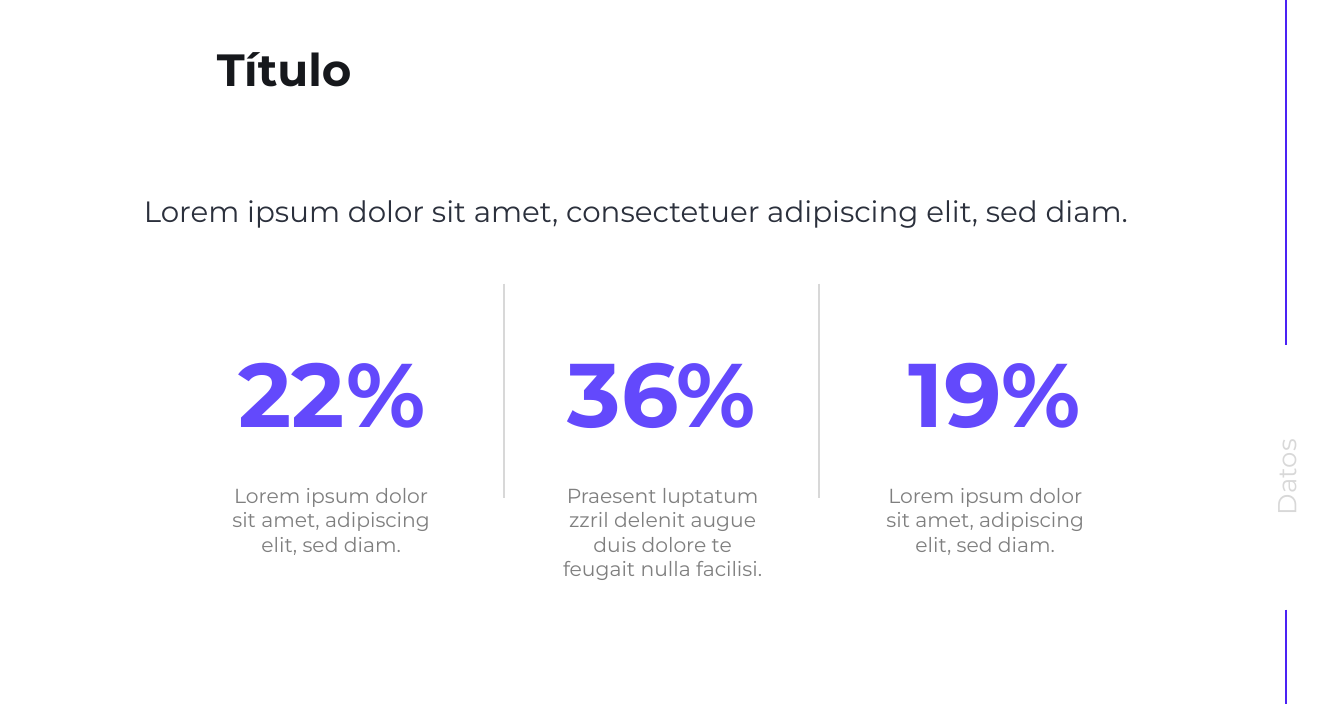
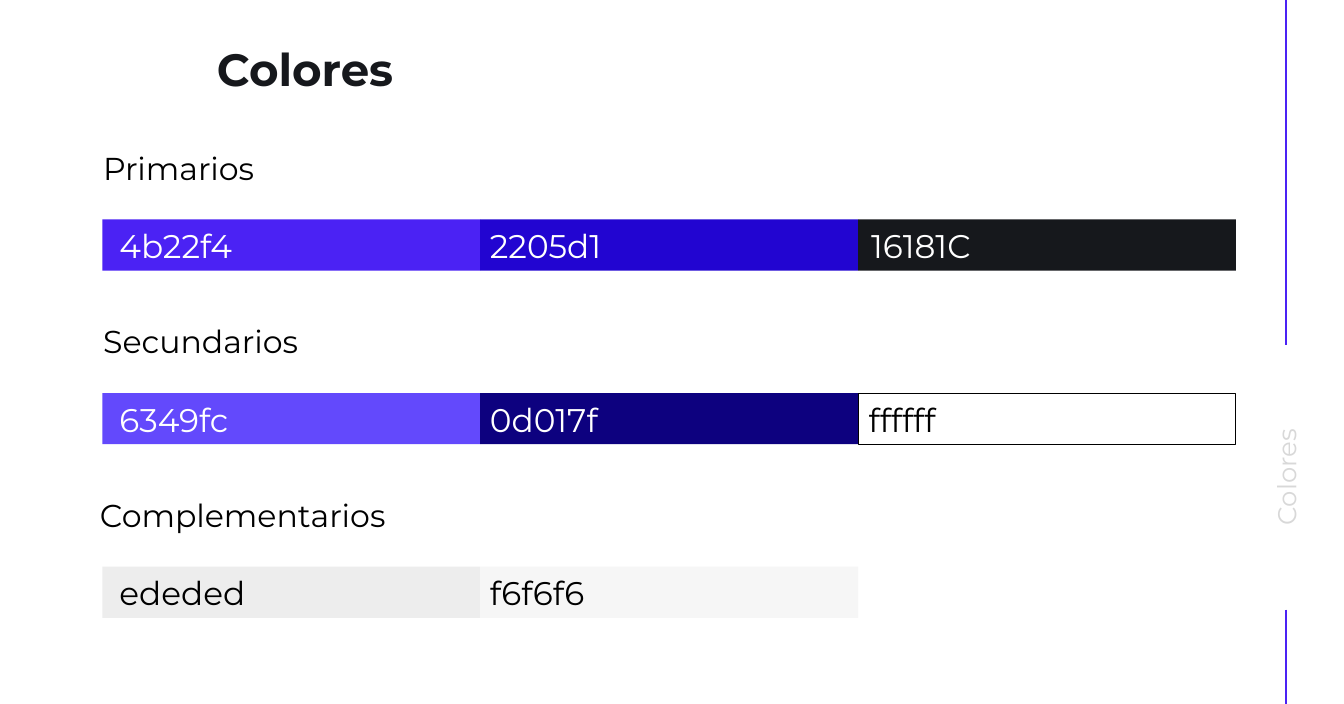
from lxml.etree import SubElement as Sub
from pptx import Presentation as Deck
from pptx.dml.color import RGBColor as Rgb
from pptx.enum.shapes import MSO_CONNECTOR as Wire, MSO_SHAPE as Form
from pptx.enum.text import MSO_ANCHOR as Anchor, PP_ALIGN as Align
from pptx.oxml.ns import qn
from pptx.util import Pt

WIDE, HIGH = 1190.9, 623.5
HUES = {
    "violet": "4b22f4",
    "blue": "2205d1",
    "ink": "16181C",
    "iris": "6349fc",
    "navy": "0d017f",
    "white": "ffffff",
    "mist": "ededed",
    "snow": "f6f6f6",
    "black": "000000",
    "rule": "D8D8D8",
    "gray": "7F7F7F",
    "slate": "2B303C",
}
PALE = ("white", "mist", "snow")


def tint(name):
    return Rgb.from_string(HUES[name].upper())


class Page:
    face = "Montserrat"
    inset = Pt(11.5)

    def __init__(self, deck):
        self.deck = deck
        self.slide = None

    def start(self, title, tag):
        self.slide = self.deck.slides.add_slide(self.deck.slide_layouts[6])
        self.text(title, 180.7, 32.4, 725.8, 56.2, 40, "ink", bold=True, mid=True)
        for top, end in ((0, 305.3), (540, HIGH)):
            self.line(1139.8, top, end, "violet", 1.5)
        side = self.text(tag, 1021.7, 396.7, 236.9, 51.8, 23, "rule", center=True)
        side.rotation = 270

    def text(self, words, x, y, w, h, size, hue, bold=False, center=False, mid=False):
        box = self.slide.shapes.add_textbox(Pt(x), Pt(y), Pt(w), Pt(h))
        frame = box.text_frame
        frame.word_wrap = True
        frame.margin_left = frame.margin_right = self.inset
        frame.margin_top = frame.margin_bottom = self.inset
        frame.vertical_anchor = Anchor.MIDDLE if mid else Anchor.TOP
        para = frame.paragraphs[0]
        para.text = words
        para.alignment = Align.CENTER if center else Align.LEFT
        font = para.font
        font.name, font.size, font.bold = self.face, Pt(size), bold
        font.color.rgb = tint(hue)
        return box

    def line(self, x, top, end, hue, width):
        wire = self.slide.shapes.add_connector(
            Wire.STRAIGHT, Pt(x), Pt(top), Pt(x), Pt(end))
        wire.line.color.rgb = tint(hue)
        wire.line.width = Pt(width)
        Sub(wire._element.spPr, qn("a:effectLst"))

    def block(self, x, y, w, h, hue, edge=None):
        rect = self.slide.shapes.add_shape(
            Form.RECTANGLE, Pt(x), Pt(y), Pt(w), Pt(h))
        rect.shadow.inherit = False
        rect.fill.solid()
        rect.fill.fore_color.rgb = tint(hue)
        if edge:
            rect.line.color.rgb = tint(edge)
            rect.line.width = Pt(0.75)
        else:
            rect.line.fill.background()


def data(page):
    page.start("Título", "Datos")
    page.text("Lorem ipsum dolor sit amet, consectetuer adipiscing elit, sed diam.",
              115.9, 159.8, 942.5, 136.8, 26, "slate")
    for x in (446.4, 725.8):
        page.line(x, 251.3, 441.4, "rule", 2.25)
    short = "Lorem ipsum dolor sit amet, adipiscing elit, sed diam."
    long = ("Praesent luptatum zzril delenit augue "
            "duis dolore te feugait nulla facilisi.")
    stats = (("22%", 167.8, short, 193),
             ("36%", 460.1, long, 486.7),
             ("19%", 755.3, short, 772.6))
    for value, x, note, left in stats:
        page.text(value, x, 239.8, 252.7, 213.1, 80, "iris",
                  bold=True, center=True, mid=True)
        page.text(note, left, 416.2, 200.9, 150.5, 18, "gray", center=True)


def colors(page):
    page.start("Colores", "Colores")
    left, top, wide, high, step = 90.7, 194.4, 334.8, 45.4, 153.7
    groups = (("Primarios", 79.9, ("violet", "blue", "ink")),
              ("Secundarios", 79.9, ("iris", "navy", "white")),
              ("Complementarios", 77, ("mist", "snow")))
    shifts = (3.6, -2.9, 0)
    for row, (head, start, names) in enumerate(groups):
        y = top + row * step
        page.text(head, start, y - 74.2, 573, 56.2, 28, "black")
        for col, name in enumerate(names):
            x = left + col * wide
            page.block(x, y, wide, high, name, "black" if name == "white" else None)
            shift = -2.1 if name == "white" else shifts[col]
            page.text(HUES[name], x + shift, y - 6, 192, 51.1, 29,
                      "black" if name in PALE else "white")


def main():
    deck = Deck()
    deck.slide_width, deck.slide_height = Pt(WIDE), Pt(HIGH)
    page = Page(deck)
    data(page)
    colors(page)
    deck.save("out.pptx")


if __name__ == "__main__":
    main()
